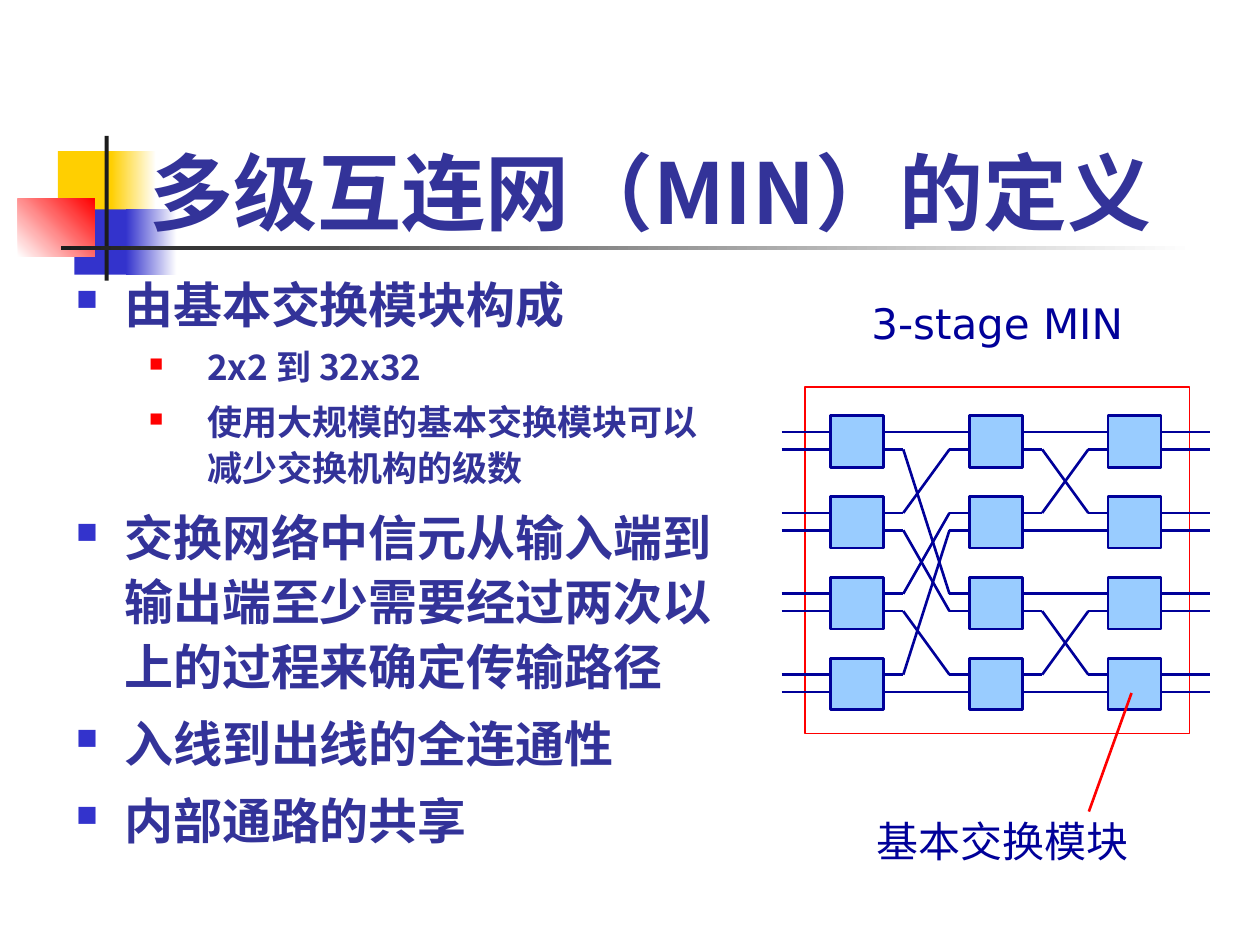
import pptx
import pptx.util
import pptx.dml.color
import pptx.enum.dml
import pptx.enum.shapes
import pptx.enum.text
import pptx.oxml.ns
import lxml.etree

Cm, Pt = pptx.util.Cm, pptx.util.Pt
RGBColor = pptx.dml.color.RGBColor
MSO_SHAPE = pptx.enum.shapes.MSO_SHAPE
MSO_ANCHOR = pptx.enum.text.MSO_ANCHOR
PP_ALIGN = pptx.enum.text.PP_ALIGN
qn = pptx.oxml.ns.qn

WHITE = RGBColor(0xFF, 0xFF, 0xFF)
YELLOW = RGBColor(0xFF, 0xCF, 0x01)
BLUE = RGBColor(0x33, 0x33, 0xCC)
RED = RGBColor(0xFF, 0x00, 0x00)
BLACK = RGBColor(0x1C, 0x1C, 0x1C)
INDIGO = RGBColor(0x33, 0x33, 0x99)
NAVY = RGBColor(0x00, 0x00, 0x99)
SKY = RGBColor(0x99, 0xCC, 0xFF)
CJK = "Noto Sans CJK JP"

prs = pptx.Presentation()
prs.slide_width, prs.slide_height = Cm(25.4), Cm(19.05)
slide = prs.slides.add_slide(prs.slide_layouts[1])
shapes = slide.shapes
title, body = shapes.title, slide.placeholders[1]


def add_run(p, text, **fmt):
    r = p.add_run()
    r.text = text
    color = fmt.pop("color")
    for name, value in fmt.items():
        setattr(r.font, name, value)
    r.font.color.rgb = color
    lxml.etree.SubElement(r.font._element, qn("a:ea"), typeface=CJK)


def add_line(x1, y1, x2, y2, color=NAVY):
    ln = shapes.add_connector(pptx.enum.shapes.MSO_CONNECTOR.STRAIGHT,
                              Cm(x1), Cm(y1), Cm(x2), Cm(y2))
    ln.line.color.rgb = color
    ln.line.width = Pt(1.5)
    lxml.etree.SubElement(ln._element.spPr, qn("a:effectLst"))


decorations = [
    (1.17, 3.05, 1.22, 1.32, [YELLOW], 0),
    (2.24, 3.05, 0.91, 1.32, [YELLOW, WHITE], 0),
    (1.5, 4.22, 1.17, 1.32, [BLUE], 0),
    (2.54, 4.22, 1.02, 1.32, [BLUE, WHITE], 0),
    (0.36, 4.01, 1.55, 1.17, [WHITE, RED], 45),
    (2.11, 2.74, 0.08, 2.92, [BLACK], 0),
    (1.23, 4.96, 22.86, 0.09, [BLACK, WHITE], 0),
]
for x, y, w, h, colors, angle in decorations:
    sp = shapes.add_shape(MSO_SHAPE.RECTANGLE, Cm(x), Cm(y), Cm(w), Cm(h))
    sp.shadow.inherit = False
    sp.line.fill.background()
    if len(colors) == 1:
        sp.fill.solid()
        sp.fill.fore_color.rgb = colors[0]
    else:
        sp.fill.gradient()
        sp.fill.gradient_angle = angle
        for stop, color, position in zip(sp.fill.gradient_stops, colors, (0, 1)):
            stop.color.rgb = color
            stop.position = position

for sp, box, anchor in [
    (title, (2.29, 0.93, 21.64, 4.06), MSO_ANCHOR.BOTTOM),
    (body, (1.28, 5.28, 13.59, 12.47), MSO_ANCHOR.TOP),
]:
    sp.left, sp.top, sp.width, sp.height = map(Cm, box)
    sp.text_frame.auto_size = pptx.enum.text.MSO_AUTO_SIZE.NONE
    sp.text_frame.vertical_anchor = anchor
    shapes._spTree.append(sp._element)

p = title.text_frame.paragraphs[0]
p.alignment = PP_ALIGN.CENTER
add_run(p, "多级互连网（MIN）的定义", name=CJK, size=Pt(48), bold=True, color=INDIGO)

levels = [
    dict(size=28, before=7, margin=0.97, hang=0.97, bullet=BLUE, scale=60),
    dict(size=20, before=5, margin=2.64, hang=1.17, bullet=RED, scale=55),
]
items = [
    (0, "由基本交换模块构成"),
    (1, "2x2 到 32x32"),
    (1, "使用大规模的基本交换模块可以减少交换机构的级数"),
    (0, "交换网络中信元从输入端到输出端至少需要经过两次以上的过程来确定传输路径"),
    (0, "入线到出线的全连通性"),
    (0, "内部通路的共享"),
]
tf = body.text_frame
for i, (level, text) in enumerate(items):
    style = levels[level]
    p = tf.add_paragraph() if i else tf.paragraphs[0]
    for name, value in dict(level=level, line_spacing=1.1,
                            space_before=Pt(style["before"])).items():
        setattr(p, name, value)
    pPr = p._p.get_or_add_pPr()
    pPr.set("marL", str(Cm(style["margin"])))
    pPr.set("indent", str(-Cm(style["hang"])))
    clr = lxml.etree.SubElement(pPr, qn("a:buClr"))
    lxml.etree.SubElement(clr, qn("a:srgbClr"), val=str(style["bullet"]))
    lxml.etree.SubElement(pPr, qn("a:buSzPct"), val=str(style["scale"] * 1000))
    lxml.etree.SubElement(pPr, qn("a:buFont"), typeface="Wingdings", charset="2")
    lxml.etree.SubElement(pPr, qn("a:buChar"), char="n")
    add_run(p, text, name=CJK, size=Pt(style["size"]), bold=True, color=INDIGO)

module_w, module_h = 1.07, 1.04
cols = [16.74 + 2.8 * i for i in range(3)]
rows = [8.38 + 1.63 * j for j in range(4)]
rects = [(16.23, 7.8, 7.75, 6.99, WHITE, RED, 0.75)]
rects += [(x, y, module_w, module_h, SKY, NAVY, 1.5) for x in cols for y in rows]
for x, y, w, h, fill, line, weight in rects:
    sp = shapes.add_shape(MSO_SHAPE.RECTANGLE, Cm(x), Cm(y), Cm(w), Cm(h))
    sp.shadow.inherit = False
    sp.fill.solid()
    sp.fill.fore_color.rgb = fill
    sp.line.color.rgb = line
    sp.line.width = Pt(weight)

ports = [y + dy for y in rows for dy in (0.33, 0.68)]
stub, lead = 0.4, 0.98
for y in ports:
    add_line(cols[0] - lead, y, cols[0], y)
    add_line(cols[2] + module_w, y, cols[2] + module_w + lead, y)

wirings = [[0, 4, 1, 5, 2, 6, 3, 7], [0, 2, 1, 3, 4, 6, 5, 7]]
for stage, wiring in enumerate(wirings):
    x1, x2 = cols[stage] + module_w, cols[stage + 1]
    for source, target in enumerate(wiring):
        y1, y2 = ports[source], ports[target]
        if source in (0, 7):
            add_line(x1, y1, x2, y2)
            continue
        add_line(x1, y1, x1 + stub, y1)
        add_line(x1 + stub, y1, x2 - stub, y2)
        add_line(x2 - stub, y2, x2, y2)

for x, y, text in [(17.5, 16.36, "基本交换模块"), (17.4, 5.92, "3-stage MIN")]:
    sp = shapes.add_textbox(Cm(x), Cm(y), Cm(5.41), Cm(1.19))
    tf = sp.text_frame
    for name, value in dict(word_wrap=True, margin_left=0, margin_right=0,
                            vertical_anchor=MSO_ANCHOR.MIDDLE).items():
        setattr(tf, name, value)
    p = tf.paragraphs[0]
    p.alignment = PP_ALIGN.CENTER
    add_run(p, text, name="DejaVu Sans", size=Pt(24), color=NAVY)
add_line(21.95, 16.36, 22.81, 13.97, RED)

prs.save("out.pptx")
